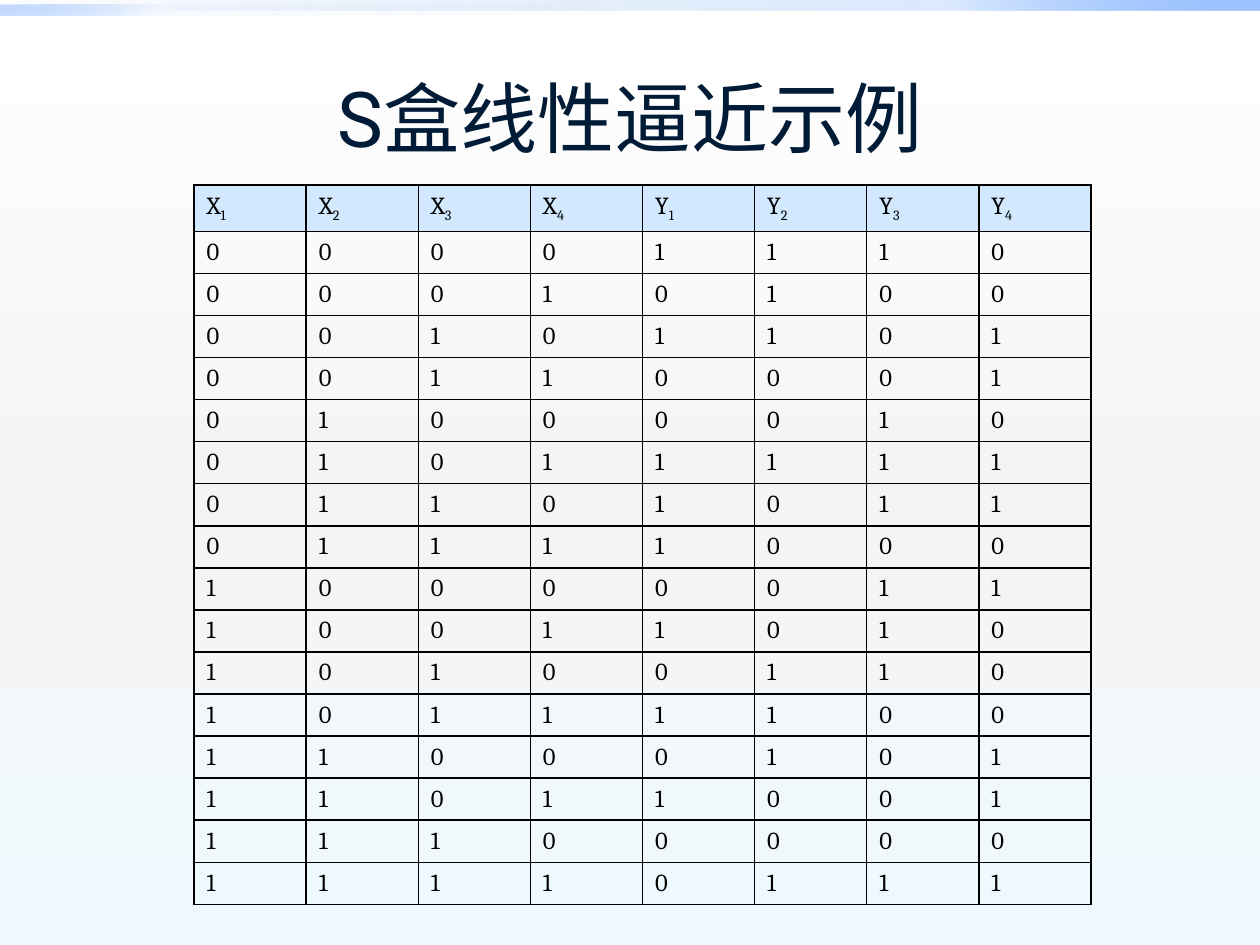
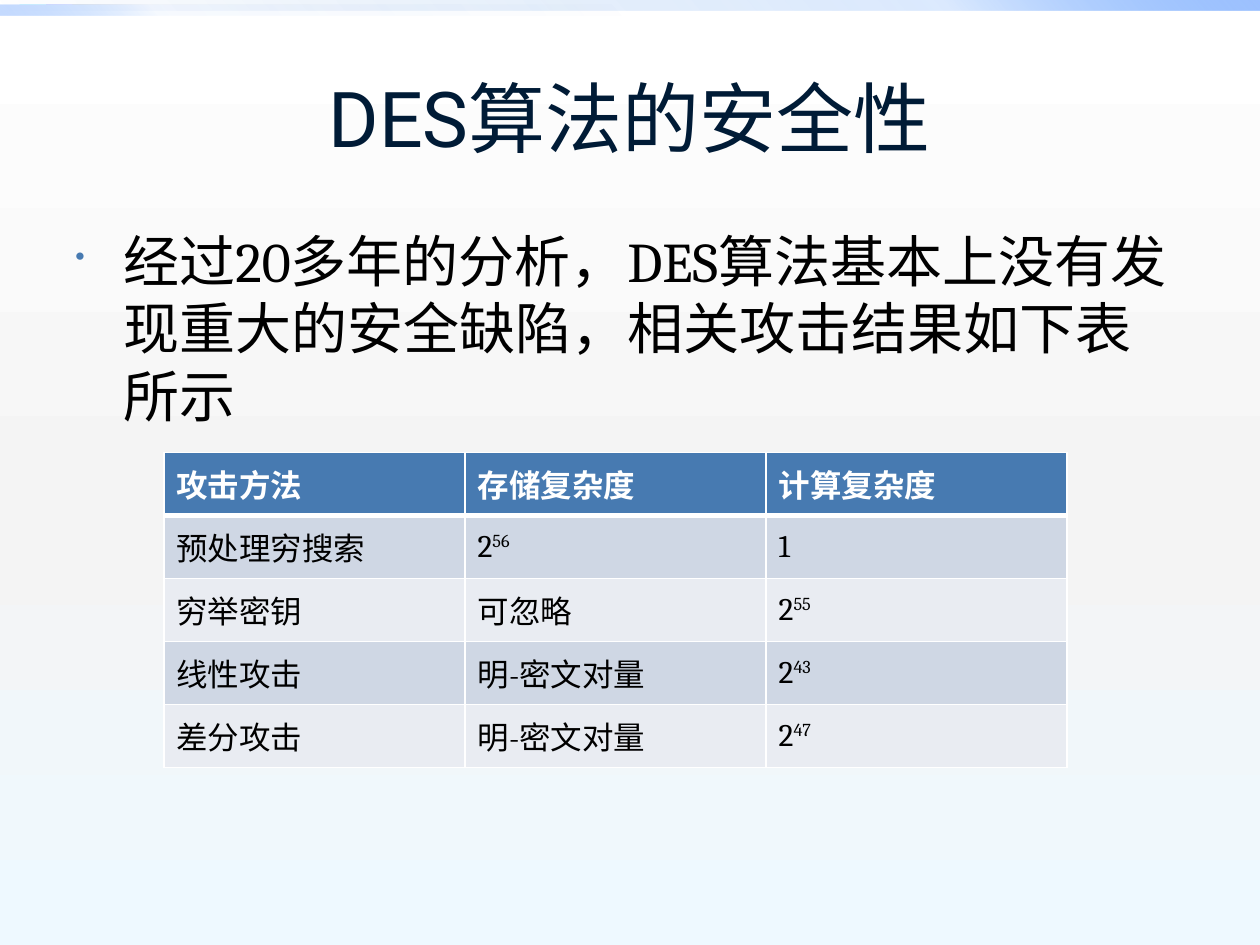
from lxml.etree import SubElement
from pptx import Presentation
from pptx.dml.color import RGBColor
from pptx.enum.shapes import MSO_SHAPE
from pptx.enum.text import MSO_ANCHOR, PP_ALIGN
from pptx.oxml.ns import qn
from pptx.util import Inches, Pt

NAVY = RGBColor(0x00, 0x1B, 0x36)
BLACK = RGBColor(0x00, 0x00, 0x00)
WHITE = RGBColor(0xFF, 0xFF, 0xFF)
BLUE = RGBColor(0x47, 0x7A, 0xB1)
PALE_BLUE = RGBColor(0xD1, 0xE8, 0xFF)
BAND_DARK = RGBColor(0xCF, 0xD7, 0xE4)
BAND_LIGHT = RGBColor(0xE9, 0xEC, 0xF2)
SMOKE = RGBColor(0xF4, 0xF4, 0xF4)
ICE = RGBColor(0xEE, 0xF9, 0xFF)
DEEP = RGBColor(0x00, 0x58, 0xB7)
AZURE = RGBColor(0x4F, 0x95, 0xFF)
SKY = RGBColor(0x9E, 0xC2, 0xFF)

TITLE_FONT = "Roboto"
BODY_FONT = "Cambria"

BACKGROUND = [(0, WHITE, 100), (55, SMOKE, 100), (100, ICE, 100)]
BANDS = [
    ((0, 0, 10, 0.08), [(0, DEEP, 0), (75, AZURE, 20), (100, SKY, 100)], 315),
    ((0, 0.04, 5, 0.08), [(0, DEEP, 0), (75, AZURE, 5), (100, SKY, 60)], 135),
]


def set_gradient(fill, element, stops, angle):
    fill.gradient()
    grad = next(element.iter(qn("a:gradFill")))
    for child in list(grad):
        grad.remove(child)
    gs_list = SubElement(grad, qn("a:gsLst"))
    for pos, color, opacity in stops:
        gs = SubElement(gs_list, qn("a:gs"), pos=str(pos * 1000))
        clr = SubElement(gs, qn("a:srgbClr"), val=str(color))
        SubElement(clr, qn("a:alpha"), val=str(opacity * 1000))
    SubElement(grad, qn("a:lin"), ang=str(angle * 60000), scaled="0")


def add_grid(s, left, top, col_width, row_height, rows, size, baseline,
             header, fills, border, header_rule):
    n_rows, n_cols = len(rows), len(rows[0])
    table = s.shapes.add_table(
        n_rows, n_cols, Inches(left), Inches(top),
        Inches(col_width * n_cols), Inches(row_height * n_rows)).table
    table.first_row = table.horz_banding = False
    for col in table.columns:
        col.width = Inches(col_width)
    for i, row in enumerate(rows):
        table.rows[i].height = Inches(row_height)
        head_fill, head_color, head_bold = header
        for j, text in enumerate(row):
            cell = table.cell(i, j)
            cell.vertical_anchor = MSO_ANCHOR.MIDDLE
            tc_pr = cell._tc.get_or_add_tcPr()
            for side in "LRTB":
                on_rule = (i, side) in ((0, "B"), (1, "T"))
                width = Pt(header_rule if on_rule else 1)
                ln = SubElement(tc_pr, qn(f"a:ln{side}"), w=str(width))
                solid = SubElement(ln, qn("a:solidFill"))
                SubElement(solid, qn("a:srgbClr"), val=str(border))
            fill = fills[(i - 1) % len(fills)] if i else head_fill
            if fill is None:
                cell.fill.background()
            else:
                cell.fill.solid()
                cell.fill.fore_color.rgb = fill
            base, _, script = text.partition("|")
            p = cell.text_frame.paragraphs[0]
            for part, shift in ((base, 0), (script, baseline)):
                if not part:
                    continue
                r = p.add_run()
                r.text = part
                r.font.name = BODY_FONT
                r.font.size = Pt(size)
                r.font.bold = head_bold and i == 0
                r.font.color.rgb = BLACK if i else head_color
                if shift:
                    r.font._element.set("baseline", str(shift * 1000))


prs = Presentation()
prs.slide_width, prs.slide_height = Inches(10), Inches(7.5)

for title in ("S盒线性逼近示例", "DES算法的安全性"):
    s = prs.slides.add_slide(prs.slide_layouts[6])
    set_gradient(s.background.fill, s._element, BACKGROUND, 90)
    for box, stops, angle in BANDS:
        sp = s.shapes.add_shape(MSO_SHAPE.RECTANGLE, *map(Inches, box))
        sp.shadow.inherit = False
        sp.line.fill.background()
        set_gradient(sp.fill, sp._element, stops, angle)
    tf = s.shapes.add_textbox(
        Inches(0.5), Inches(0.3), Inches(9), Inches(1.25)).text_frame
    tf.word_wrap = True
    tf.vertical_anchor = MSO_ANCHOR.MIDDLE
    p = tf.paragraphs[0]
    p.alignment = PP_ALIGN.CENTER
    r = p.add_run()
    r.text = title
    r.font.name = TITLE_FONT
    r.font.size = Pt(44)
    r.font.color.rgb = NAVY

sbox_slide, security_slide = prs.slides

SBOX = [14, 4, 13, 1, 2, 15, 11, 8, 3, 10, 6, 12, 5, 9, 0, 7]
sbox_rows = [[f"{name}|{n}" for name in "XY" for n in range(1, 5)]]
sbox_rows += [list(f"{x:04b}{y:04b}") for x, y in enumerate(SBOX)]
add_grid(sbox_slide, 1.54, 1.47, 0.89, 0.32, sbox_rows, 14, -25,
         (PALE_BLUE, BLACK, False), [None], BLACK, 1)

tf = security_slide.shapes.add_textbox(
    Inches(0.5), Inches(1.75), Inches(9), Inches(4.95)).text_frame
tf.word_wrap = True
p = tf.paragraphs[0]
p_pr = p._p.get_or_add_pPr()
p_pr.set("marL", str(Inches(0.38)))
p_pr.set("indent", str(-Inches(0.38)))
bu_clr = SubElement(p_pr, qn("a:buClr"))
SubElement(bu_clr, qn("a:srgbClr"), val=str(BLUE))
SubElement(p_pr, qn("a:buSzPct"), val="50000")
SubElement(p_pr, qn("a:buChar"), char="•")
r = p.add_run()
r.text = "经过20多年的分析，DES算法基本上没有发现重大的安全缺陷，相关攻击结果如下表所示"
r.font.name = BODY_FONT
r.font.size = Pt(32)
r.font.color.rgb = BLACK

attack_rows = [
    ["攻击方法", "存储复杂度", "计算复杂度"],
    ["预处理穷搜索", "2|56", "1"],
    ["穷举密钥", "可忽略", "2|55"],
    ["线性攻击", "明-密文对量", "2|43"],
    ["差分攻击", "明-密文对量", "2|47"],
]
add_grid(security_slide, 1.3, 3.59, 2.39, 0.5, attack_rows, 18, 30,
         (BLUE, WHITE, True), [BAND_DARK, BAND_LIGHT], WHITE, 3)

prs.save("out.pptx")
